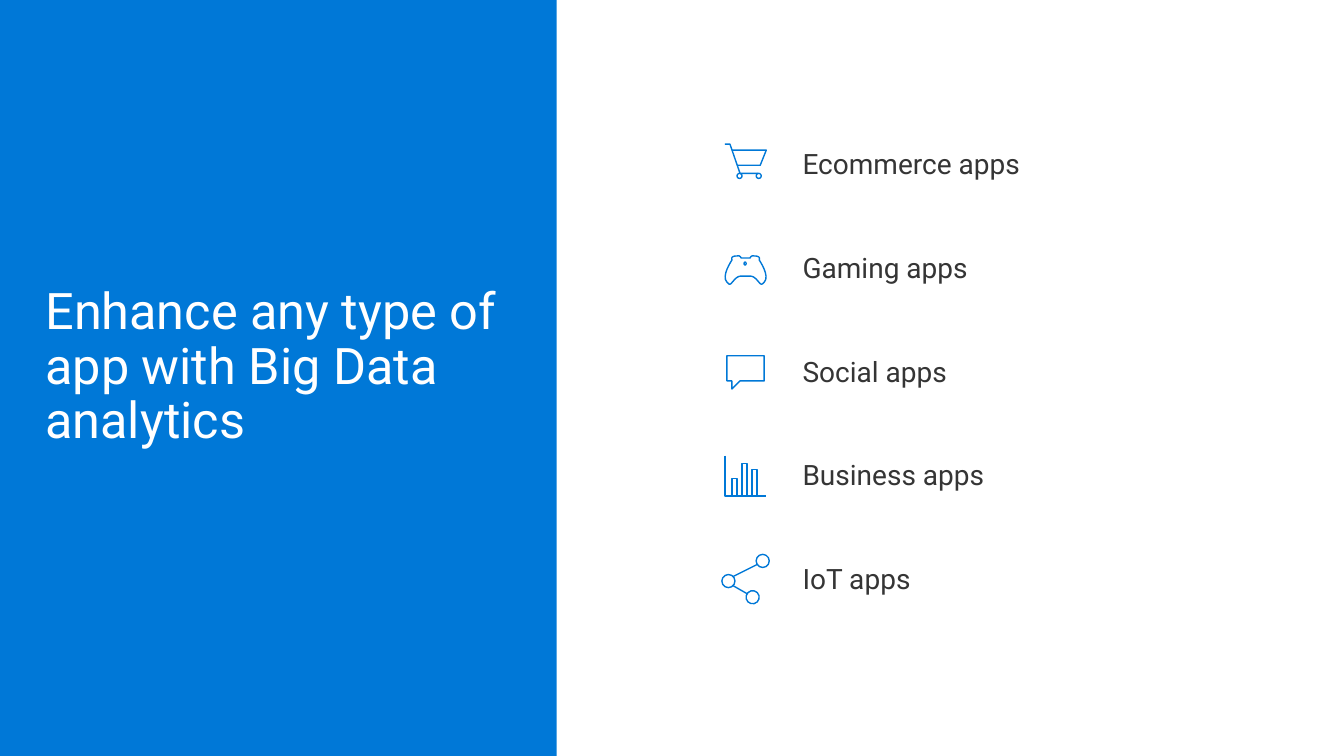
from dataclasses import dataclass

import pptx
import pptx.dml.color
import pptx.enum.shapes
import pptx.enum.text
import pptx.oxml
import pptx.oxml.ns
import pptx.util

Inches = pptx.util.Inches
Pt = pptx.util.Pt
Kind = pptx.enum.shapes.MSO_SHAPE
Point = tuple[float, float]

COLORS = {"blue": "0078D7", "white": "FFFFFF", "text": "353535"}
FONT = "Roboto"
LABELS = ("Ecommerce apps", "Gaming apps", "Social apps", "Business apps", "IoT apps")
LABEL_LEFT, LABEL_TOP, LABEL_PITCH = 7.76, 1.33, 1.03
CURVE_STEPS = 8


@dataclass(frozen=True)
class Outline:
    kind: Kind
    left: float
    top: float
    width: float
    height: float
    rotation: float = 0


@dataclass(frozen=True)
class Contour:
    points: tuple[Point, ...]
    closed: bool = False


@dataclass(frozen=True)
class Link:
    start: Point
    end: Point


CART = (
    Contour(((7.19, 1.43), (7.24, 1.43), (7.34, 1.72), (7.52, 1.72))),
    Contour(((7.31, 1.64), (7.54, 1.64), (7.6, 1.49), (7.26, 1.49))),
)
CART_WHEELS = tuple(Outline(Kind.OVAL, left, 1.72, 0.05, 0.05) for left in (7.31, 7.5))

GAMEPAD_CENTER = 7.395
GAMEPAD_START = (7.35, 2.56)
GAMEPAD_LEFT_CURVES = (
    ((7.35, 2.56), (7.34, 2.53), (7.31, 2.54)),
    ((7.27, 2.54), (7.25, 2.55), (7.26, 2.58)),
    ((7.26, 2.58), (7.15, 2.74), (7.21, 2.8)),
    ((7.23, 2.82), (7.23, 2.82), (7.24, 2.82)),
    ((7.25, 2.82), (7.27, 2.79), (7.29, 2.77)),
    ((7.31, 2.75), (7.33, 2.74), (7.35, 2.74)),
)
GAMEPAD_BUTTON = Outline(Kind.OVAL, 7.38, 2.6, 0.02, 0.03)

SPEECH_BUBBLE = Contour(
    ((7.42, 3.78), (7.34, 3.78), (7.26, 3.86), (7.26, 3.78), (7.21, 3.78),
     (7.21, 3.53), (7.58, 3.53), (7.58, 3.78)),
    closed=True,
)

CHART_BASE = 4.92
CHART_AXES = Contour(((7.19, 4.52), (7.19, CHART_BASE), (7.6, CHART_BASE)))
CHART_BARS = tuple(
    Outline(Kind.RECTANGLE, 7.26 + 0.1 * index, CHART_BASE - height, 0.05, height)
    for index, height in enumerate((0.17, 0.32, 0.26))
)

NETWORK_NODES = (
    Outline(Kind.OVAL, 7.16, 5.7, 0.13, 0.13),
    Outline(Kind.OVAL, 7.5, 5.5, 0.13, 0.13, 330.1),
    Outline(Kind.OVAL, 7.4, 5.86, 0.13, 0.13, 345.5),
)
NETWORK_LINKS = (Link((7.27, 5.81), (7.41, 5.89)), Link((7.27, 5.72), (7.51, 5.6)))


def rgb(name: str) -> pptx.dml.color.RGBColor:
    return pptx.dml.color.RGBColor.from_string(COLORS[name])


def write_text(shape, text: str, *, size: float, color: str,
               margins: Point, space_after: float = 0) -> None:
    """Fill a shape with one left-aligned paragraph; margins are (side, top and bottom)."""
    frame = shape.text_frame
    frame.word_wrap = True
    frame.auto_size = pptx.enum.text.MSO_AUTO_SIZE.NONE
    frame.vertical_anchor = pptx.enum.text.MSO_ANCHOR.TOP
    frame.margin_left = frame.margin_right = Inches(margins[0])
    frame.margin_top = frame.margin_bottom = Inches(margins[1])
    paragraph = frame.paragraphs[0]
    paragraph.alignment = pptx.enum.text.PP_ALIGN.LEFT
    paragraph.line_spacing = 0.9
    paragraph.space_after = Pt(space_after)
    run = paragraph.add_run()
    run.text = text
    run.font.name = FONT
    run.font.size = Pt(size)
    run.font.color.rgb = rgb(color)


def style_outline(shape) -> None:
    shape.shadow.inherit = False
    shape.fill.background()
    shape.line.color.rgb = rgb("blue")
    shape.line.width = Pt(1)


def draw_outline(slide, outline: Outline) -> None:
    shape = slide.shapes.add_shape(
        outline.kind, Inches(outline.left), Inches(outline.top),
        Inches(outline.width), Inches(outline.height))
    shape.rotation = outline.rotation
    style_outline(shape)


def draw_contours(slide, contours: tuple[Contour, ...]) -> None:
    """Draw all contours as one freeform."""
    builder = None
    for contour in contours:
        start, *rest = [(Inches(x), Inches(y)) for x, y in contour.points]
        if builder is None:
            builder = slide.shapes.build_freeform(*start)
        else:
            builder.move_to(*start)
        builder.add_line_segments(rest, close=contour.closed)
    style_outline(builder.convert_to_shape())


def draw_link(slide, link: Link) -> None:
    connector = slide.shapes.add_connector(
        pptx.enum.shapes.MSO_CONNECTOR.STRAIGHT,
        *(Inches(value) for value in link.start + link.end))
    connector.line.color.rgb = rgb("blue")
    connector.line.width = Pt(1)
    effects = pptx.oxml.parse_xml(f"<a:effectLst {pptx.oxml.ns.nsdecls('a')}/>")
    connector._element.spPr.append(effects)


def sample_curve(start: Point, controls: tuple[Point, Point, Point]) -> list[Point]:
    """Return points along a cubic Bezier curve, without its start."""
    points = []
    for step in range(1, CURVE_STEPS + 1):
        t = step / CURVE_STEPS
        weights = ((1 - t) ** 3, 3 * t * (1 - t) ** 2, 3 * t * t * (1 - t), t ** 3)
        points.append(tuple(
            sum(weight * point[axis] for weight, point in zip(weights, (start, *controls)))
            for axis in (0, 1)))
    return points


def gamepad_contour() -> Contour:
    """Trace the left half, then mirror it to close the outline."""
    half = [GAMEPAD_START]
    for controls in GAMEPAD_LEFT_CURVES:
        half += sample_curve(half[-1], controls)
    mirrored = [(2 * GAMEPAD_CENTER - x, y) for x, y in reversed(half)]
    return Contour(tuple(half + mirrored), closed=True)


def add_title_panel(slide, height: int) -> None:
    title = slide.shapes.title
    title.left, title.top = Inches(0.29), Inches(2.74)
    title.width, title.height = Inches(5.05), Inches(0.98)
    write_text(title, "Enhance any type of app with Big Data analytics",
               size=36, color="white", margins=(0.16, 0.1))
    panel = slide.shapes.add_shape(Kind.RECTANGLE, 0, 0, Inches(5.52), height)
    panel.shadow.inherit = False
    panel.fill.solid()
    panel.fill.fore_color.rgb = rgb("blue")
    panel.line.fill.background()
    title._element.addprevious(panel._element)


def main() -> None:
    presentation = pptx.Presentation()
    presentation.slide_width = Inches(13.33)
    presentation.slide_height = Inches(7.5)
    slide = presentation.slides.add_slide(presentation.slide_layouts[5])
    add_title_panel(slide, presentation.slide_height)

    for index, label in enumerate(LABELS):
        box = slide.shapes.add_textbox(
            Inches(LABEL_LEFT), Inches(LABEL_TOP + index * LABEL_PITCH),
            Inches(3.8), Inches(0.63))
        write_text(box, label, size=20, color="text", margins=(0.2, 0.16), space_after=6)

    for contours in (CART, (gamepad_contour(),), (SPEECH_BUBBLE,), (CHART_AXES,)):
        draw_contours(slide, contours)
    for outline in (*CART_WHEELS, GAMEPAD_BUTTON, *CHART_BARS, *NETWORK_NODES):
        draw_outline(slide, outline)
    for link in NETWORK_LINKS:
        draw_link(slide, link)
    presentation.save("out.pptx")


if __name__ == "__main__":
    main()
